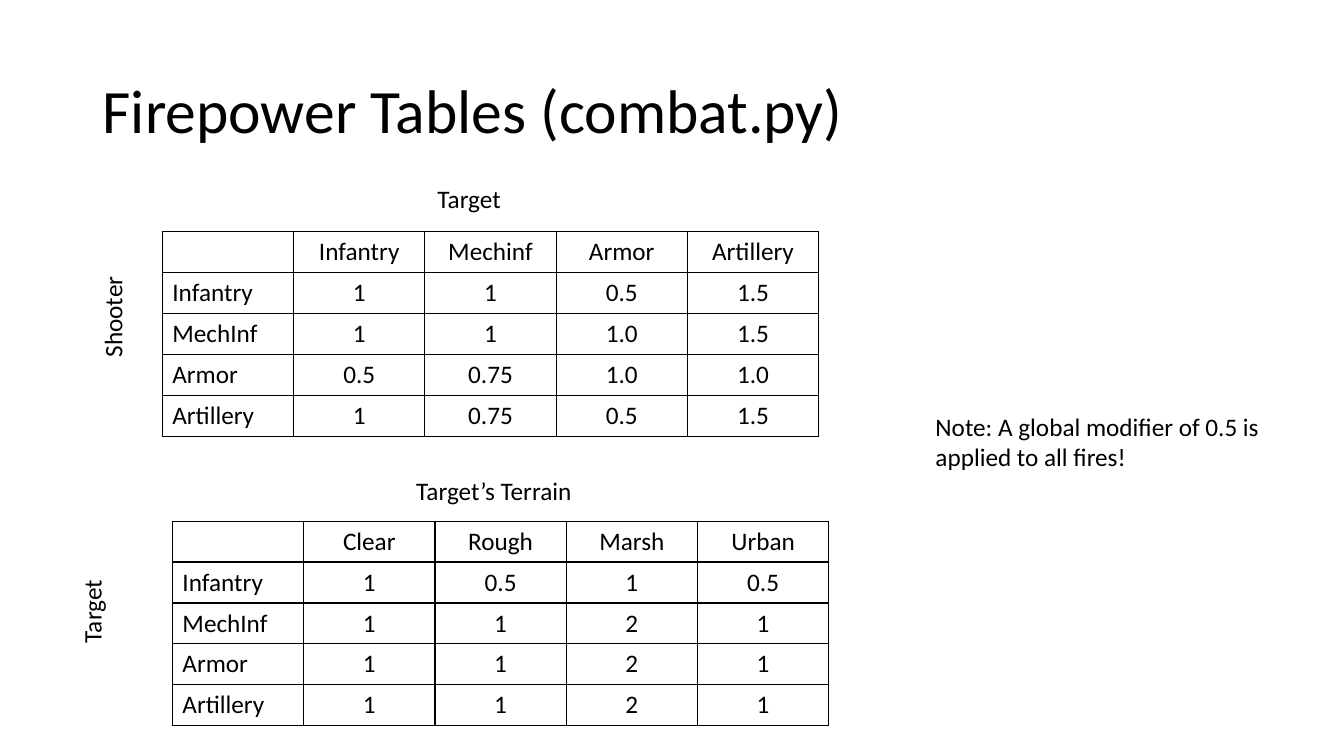
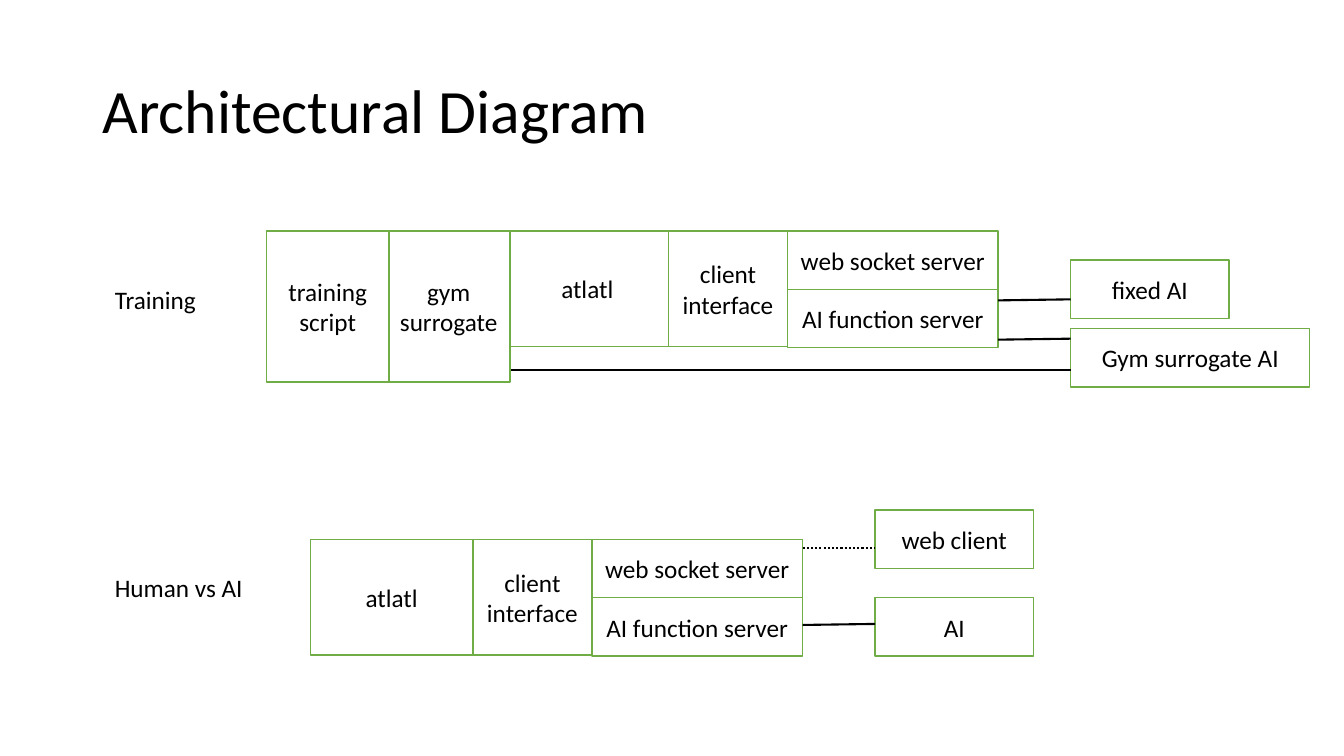
"""Build the firepower tables and the architectural diagram slides."""
from typing import NamedTuple

from lxml import etree
from pptx import Presentation
from pptx.dml.color import RGBColor
from pptx.enum.dml import MSO_LINE
from pptx.enum.shapes import MSO_CONNECTOR, MSO_SHAPE
from pptx.enum.text import MSO_ANCHOR, MSO_AUTO_SIZE, PP_ALIGN
from pptx.oxml.ns import qn
from pptx.util import Inches, Pt

LEFT, CENTER = PP_ALIGN.LEFT, PP_ALIGN.CENTER
MIDDLE = MSO_ANCHOR.MIDDLE
GROW = MSO_AUTO_SIZE.SHAPE_TO_FIT_TEXT
RECT = MSO_SHAPE.RECTANGLE
STRAIGHT = MSO_CONNECTOR.STRAIGHT
DOTTED = MSO_LINE.ROUND_DOT
COLORS = {"text": "000000", "paper": "FFFFFF", "box": "70AD47"}
BODY_FONT = {"name": "Calibri", "size": Pt(18)}
TITLE_FONT = {"name": "Calibri", "size": Pt(44)}
BOX_H = 0.58
STACK_H = 1.15
UNITS = ("Infantry", "MechInf", "Armor", "Artillery")


class Label(NamedTuple):
    """Free text whose frame grows with it."""
    text: str
    x: float
    y: float
    w: float
    h: float = 0.4
    rotation: int = 0


class Grid(NamedTuple):
    """Table of modifiers, one row per unit."""
    x: float
    y: float
    heads: tuple[str, ...]
    values: tuple[tuple[str, ...], ...]


class Box(NamedTuple):
    """Outlined component of the architecture."""
    text: str
    x: float
    y: float
    w: float
    h: float = BOX_H


class Link(NamedTuple):
    """Line between two components."""
    x1: float
    y1: float
    x2: float
    y2: float
    dotted: bool = False


LABELS = (
    Label("Shooter", 0.61, 2.94, 1.01, rotation=270),
    Label("Target", 4.24, 1.77, 0.84),
    Label("Target", 0.49, 5.86, 0.84, rotation=270),
    Label("Target’s Terrain", 4.03, 4.67, 1.76),
    Label("Note: A global modifier of 0.5 is\napplied to all fires!", 9.18, 4.03, 3.51, 0.71),
)
GRIDS = (
    Grid(1.61, 2.3, ("Infantry", "Mechinf", "Armor", "Artillery"), (
        ("1", "1", "0.5", "1.5"),
        ("1", "1", "1.0", "1.5"),
        ("0.5", "0.75", "1.0", "1.0"),
        ("1", "0.75", "0.5", "1.5"))),
    Grid(1.71, 5.17, ("Clear", "Rough", "Marsh", "Urban"), (
        ("1", "0.5", "1", "0.5"),
        *(("1", "1", "2", "1"),) * 3)),
)


def stack(x: float, y: float) -> tuple[Box, ...]:
    """Return the game engine with its interface and servers."""
    return (
        Box("atlatl", x, y, 1.61, STACK_H),
        Box("client interface", x + 1.61, y, 1.18, STACK_H),
        Box("web socket server", x + 2.79, y, 2.09),
        Box("AI function server", x + 2.79, y + BOX_H, 2.09),
    )


BOXES = (
    *stack(3.08, 5.35),
    Box("web client", 8.68, 5.06, 1.57),
    Box("AI", 8.68, 5.93, 1.57),
    *stack(5.02, 2.29),
    Box("fixed AI", 10.62, 2.58, 1.57),
    Box("Gym surrogate AI", 10.62, 3.26, 2.37),
    Box("gym surrogate", 3.84, 2.29, 1.22, 1.5),
    Box("training script", 2.64, 2.29, 1.22, 1.5),
)
LINKS = (
    Link(7.96, 5.44, 8.68, 5.44, dotted=True),
    Link(7.96, 6.2, 8.68, 6.19),
    Link(9.9, 2.98, 10.62, 2.97),
    Link(9.9, 3.37, 10.62, 3.36),
    Link(5.07, 3.67, 10.62, 3.67),
)
MODES = (Label("Human vs AI", 1.04, 5.63, 1.54), Label("Training", 1.04, 2.77, 1.01))


def rgb(key: str) -> RGBColor:
    """Look up a named colour."""
    return RGBColor.from_string(COLORS[key])


def write(tf, text: str, font: dict, align=LEFT, spacing: float = 1.0) -> None:
    """Fill a text frame, one paragraph per line."""
    for i, line in enumerate(text.split("\n")):
        p = tf.add_paragraph() if i else tf.paragraphs[0]
        p.alignment, p.line_spacing = align, spacing
        r = p.add_run()
        r.text = line
        for name, value in font.items():
            setattr(r.font, name, value)
        r.font.color.rgb = rgb("text")


def add_title(s, text: str) -> None:
    """Draw the slide title."""
    tf = s.shapes.add_textbox(Inches(0.92), Inches(0.4), Inches(11.5), Inches(1.45)).text_frame
    tf.word_wrap, tf.vertical_anchor = True, MIDDLE
    write(tf, text, TITLE_FONT, spacing=0.9)


def add_label(s, label: Label) -> None:
    """Draw a label, turned if needed."""
    sp = s.shapes.add_textbox(*map(Inches, (label.x, label.y, label.w, label.h)))
    sp.rotation = label.rotation
    tf = sp.text_frame
    tf.word_wrap, tf.auto_size = False, GROW
    write(tf, label.text, BODY_FONT)


def add_borders(cell) -> None:
    """Outline all four sides of a cell."""
    tc_pr = cell._tc.get_or_add_tcPr()
    for i, side in enumerate(("lnL", "lnR", "lnT", "lnB")):
        ln = etree.Element(qn(f"a:{side}"), w=str(Pt(1)))
        fill = etree.SubElement(ln, qn("a:solidFill"))
        etree.SubElement(fill, qn("a:srgbClr"), val=COLORS["text"])
        tc_pr.insert(i, ln)


def add_grid(s, grid: Grid) -> None:
    """Draw a modifier table."""
    rows = [("", *grid.heads), *((unit, *row) for unit, row in zip(UNITS, grid.values))]
    table = s.shapes.add_table(len(rows), len(rows[0]), Inches(grid.x), Inches(grid.y),
                               Inches(6.51), Inches(2.03)).table
    table.first_row = table.horz_banding = False
    for i, row in enumerate(rows):
        for j, text in enumerate(row):
            cell = table.cell(i, j)
            cell.fill.background()
            add_borders(cell)
            if text:
                write(cell.text_frame, text, BODY_FONT, CENTER if j else LEFT)


def add_box(s, box: Box) -> None:
    """Draw a component."""
    sp = s.shapes.add_shape(RECT, *map(Inches, (box.x, box.y, box.w, box.h)))
    sp.shadow.inherit = False
    sp.fill.solid()
    sp.fill.fore_color.rgb = rgb("paper")
    sp.line.color.rgb, sp.line.width = rgb("box"), Pt(1)
    tf = sp.text_frame
    tf.word_wrap, tf.vertical_anchor = True, MIDDLE
    write(tf, box.text, BODY_FONT, CENTER)


def add_link(s, link: Link) -> None:
    """Draw a line between components."""
    cn = s.shapes.add_connector(STRAIGHT, *map(Inches, link[:4]))
    cn.line.color.rgb, cn.line.width = rgb("text"), Pt(1.5)
    if link.dotted:
        cn.line.dash_style = DOTTED
    etree.SubElement(cn._element.spPr, qn("a:effectLst"))


def main() -> None:
    """Build both slides and save them."""
    prs = Presentation()
    prs.slide_width, prs.slide_height = Inches(13.33), Inches(7.5)
    blank = prs.slide_layouts[6]
    slides = (
        ("Firepower Tables (combat.py)", ((add_grid, GRIDS), (add_label, LABELS))),
        ("Architectural Diagram", ((add_box, BOXES), (add_link, LINKS), (add_label, MODES))),
    )
    for title, parts in slides:
        s = prs.slides.add_slide(blank)
        add_title(s, title)
        for draw, items in parts:
            for item in items:
                draw(s, item)
    prs.save("out.pptx")


if __name__ == "__main__":
    main()
